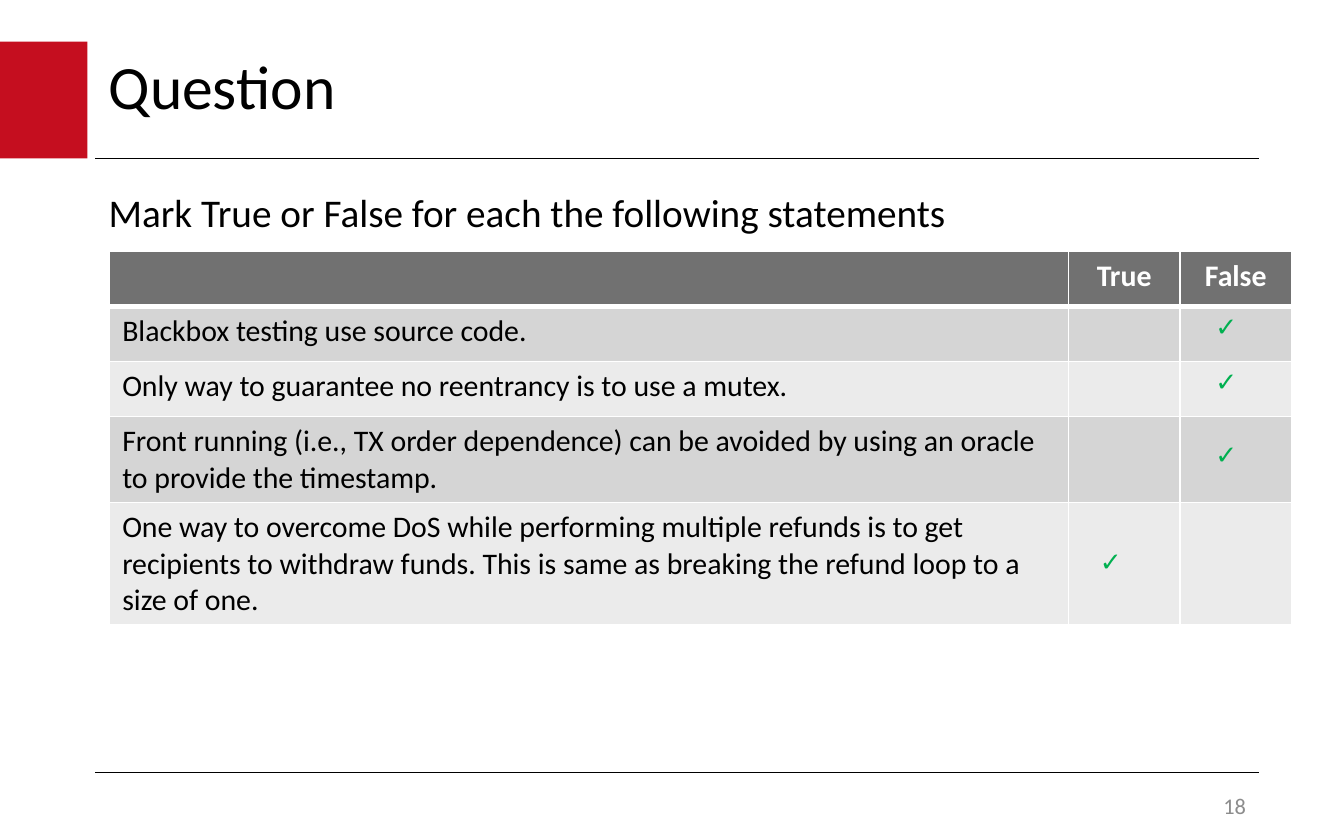
from lxml.etree import SubElement
from pptx import Presentation
from pptx.dml.color import RGBColor
from pptx.enum.shapes import MSO_CONNECTOR as Connector, MSO_SHAPE as Shape
from pptx.enum.text import MSO_ANCHOR as Anchor, PP_ALIGN as Align
from pptx.oxml.ns import qn
from pptx.util import Inches, Pt

COLORS = {
    "accent": "C50E1F", "text": "000000", "header": "717171",
    "band_dark": "D5D5D5", "band_light": "EBEBEB", "white": "FFFFFF",
    "tick": "00B050", "number": "8C8C8C",
}
WIDTH, HEIGHT = 10, 6.25
RULE_LEFT, RULE_RIGHT = 0.71, 9.37
TITLE_TOP, TITLE_RULE, FOOTER_RULE = 0.31, 1.18, 5.75
TABLE_LEFT, TABLE_TOP = 0.81, 1.87
COLUMNS = [7.14, 0.83, 0.83]
ROWS = [0.41, 0.41, 0.41, 0.64, 0.91]


def write(frame, text, size, color, align=Align.LEFT, bold=False, font="Calibri"):
    """Put one styled run in the frame's first paragraph and return that paragraph."""
    paragraph = frame.paragraphs[0]
    paragraph.alignment = align
    run = paragraph.add_run()
    run.text = text
    run.font.name, run.font.size, run.font.bold = font, Pt(size), bold
    run.font.color.rgb = RGBColor.from_string(COLORS[color])
    return paragraph


def add_text_frame(left, top, width, height, anchor=Anchor.TOP, wrap=True):
    box = slide.shapes.add_textbox(*map(Inches, (left, top, width, height)))
    frame = box.text_frame
    frame.word_wrap, frame.vertical_anchor = wrap, anchor
    return frame


prs = Presentation()
prs.slide_width, prs.slide_height = Inches(WIDTH), Inches(HEIGHT)
slide = prs.slides.add_slide(prs.slide_layouts[6])

# Accent block and rules
accent = slide.shapes.add_shape(
    Shape.RECTANGLE, 0, Inches(TITLE_TOP), Inches(0.65), Inches(TITLE_RULE - TITLE_TOP))
accent.shadow.inherit = False
accent.fill.solid()
accent.fill.fore_color.rgb = RGBColor.from_string(COLORS["accent"])
accent.line.fill.background()

for y in (TITLE_RULE, FOOTER_RULE):
    rule = slide.shapes.add_connector(
        Connector.STRAIGHT, Inches(RULE_LEFT), Inches(y), Inches(RULE_RIGHT), Inches(y))
    rule.line.color.rgb = RGBColor.from_string(COLORS["text"])
    rule.line.width = Pt(0.75)
    SubElement(rule._element.spPr, qn("a:effectLst"))

# Title and instruction
title = write(add_text_frame(RULE_LEFT, TITLE_TOP, 7.25, 0.71, Anchor.MIDDLE),
              "Question", 33, "text")
title.line_spacing = 0.9
instruction = write(add_text_frame(RULE_LEFT, 1.39, RULE_RIGHT - RULE_LEFT, 0.48),
                    "Mark True or False for each the following statements", 21, "text")
instruction.line_spacing = 0.9
instruction.space_before = Pt(7.5)

# Statement table
statements = [
    "Blackbox testing use source code.",
    "Only way to guarantee no reentrancy is to use a mutex.",
    "Front running (i.e., TX order dependence) can be avoided by using an oracle "
    "to provide the timestamp.",
    "One way to overcome DoS while performing multiple refunds is to get recipients "
    "to withdraw funds. This is same as breaking the refund loop to a size of one.",
]
contents = [["", "True", "False"]] + [[statement, "", ""] for statement in statements]
table = slide.shapes.add_table(
    len(ROWS), len(COLUMNS), Inches(TABLE_LEFT), Inches(TABLE_TOP),
    Inches(sum(COLUMNS)), Inches(sum(ROWS))).table
for column, width in zip(table.columns, COLUMNS):
    column.width = Inches(width)
for row, height in zip(table.rows, ROWS):
    row.height = Inches(height)

for r, texts in enumerate(contents):
    is_header = r == 0
    band = "header" if is_header else ("band_dark" if r % 2 else "band_light")
    for c, text in enumerate(texts):
        cell = table.cell(r, c)
        if text:
            write(cell.text_frame, text, 16, "white" if is_header else "text",
                  Align.CENTER if is_header else Align.LEFT, is_header)
        properties = cell._tc.get_or_add_tcPr()
        for side in "LRTB":
            thick = (is_header and side == "B") or (r == 1 and side == "T")
            border = SubElement(properties, qn(f"a:ln{side}"), w=str(Pt(3 if thick else 1)))
            SubElement(SubElement(border, qn("a:solidFill")), qn("a:srgbClr"),
                       val=COLORS["white"])
        cell.fill.solid()
        cell.fill.fore_color.rgb = RGBColor.from_string(COLORS[band])

# Answer ticks
TRUE_LEFT, FALSE_LEFT = 8.07, 8.93
for left, top in ((FALSE_LEFT, 2.26), (FALSE_LEFT, 2.67), (FALSE_LEFT, 3.21), (TRUE_LEFT, 4.01)):
    write(add_text_frame(left, top, 0.39, 0.4, wrap=False),
          "✓", 14, "tick", Align.CENTER, True, "Lato")

# Slide number
write(add_text_frame(RULE_RIGHT - 2.03, 5.87, 2.03, 0.25, Anchor.MIDDLE),
      "18", 12, "number", Align.RIGHT)

prs.save("out.pptx")
